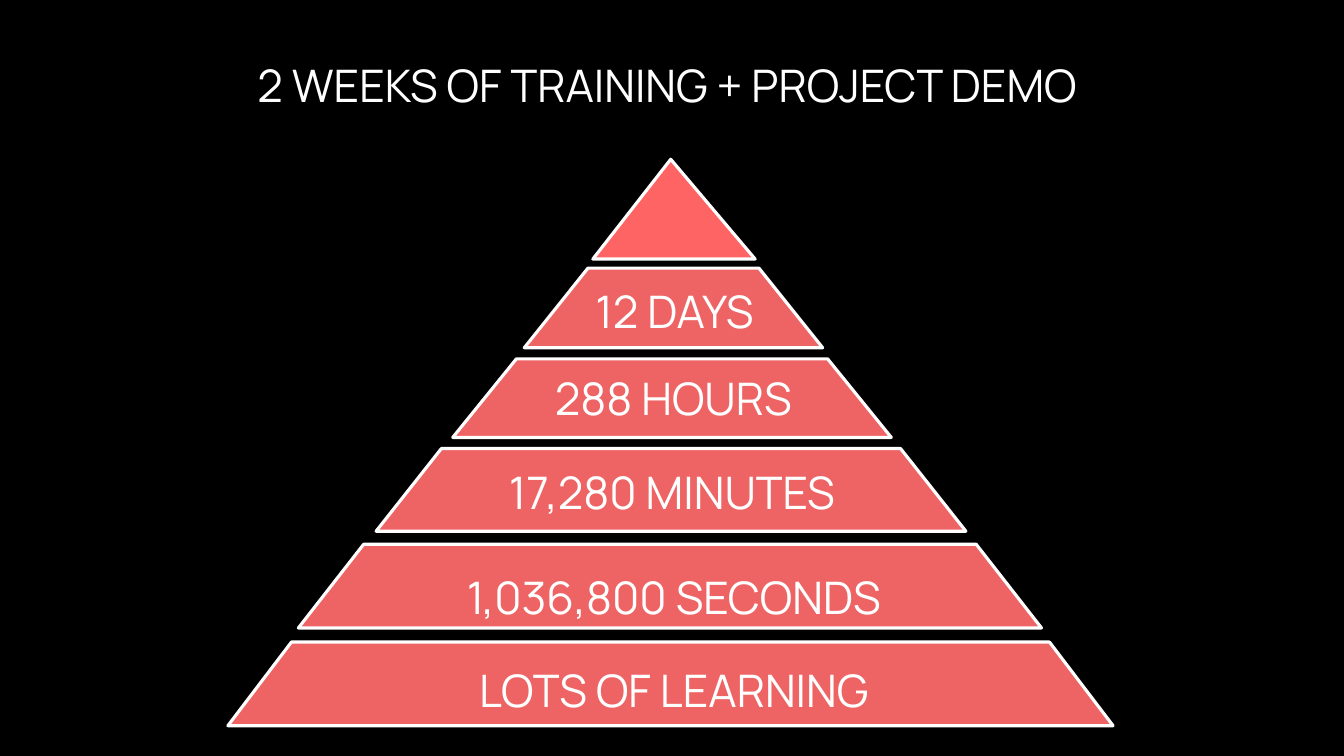
import pptx
import pptx.dml.color
import pptx.enum.shapes
import pptx.enum.text
import pptx.util

Inches = pptx.util.Inches
Shapes = pptx.enum.shapes.MSO_SHAPE
Anchor = pptx.enum.text.MSO_ANCHOR

BLACK = pptx.dml.color.RGBColor(0x00, 0x00, 0x00)
WHITE = pptx.dml.color.RGBColor(0xFF, 0xFF, 0xFF)
CORAL = pptx.dml.color.RGBColor(0xEE, 0x64, 0x64)
BRIGHT_CORAL = pptx.dml.color.RGBColor(0xFF, 0x64, 0x64)

TIERS = [
    ((5.2, 2.66, 2.96, 0.79), 0.8),
    ((4.49, 3.56, 4.35, 0.78), 0.81),
    ((3.73, 4.45, 5.85, 0.82), 0.79),
    ((2.96, 5.4, 7.37, 0.83), 0.78),
    ((2.26, 6.37, 8.78, 0.83), 0.76),
]
SHORT_LABELS = [
    ("12 DAYS", (5.48, 2.77, 2.42, 0.64)),
    ("288 HOURS", (5.2, 3.63, 2.96, 0.64)),
    ("17,280 MINUTES", (4.49, 4.56, 4.35, 0.64)),
]
WIDE_LABELS = [
    ("1,036,800 SECONDS", (1.79, 5.2, 9.79, 1.38)),
    ("LOTS OF LEARNING", (1.79, 6.12, 9.79, 1.38)),
]


class PyramidSlide:
    """Draw outlined tiers and centred labels on one slide."""

    font_name = "Manrope"
    font_size = pptx.util.Pt(32)
    outline = pptx.util.Pt(2.25)

    def __init__(self, page):
        self.page = page
        page.background.fill.solid()
        page.background.fill.fore_color.rgb = BLACK

    def tier(self, kind, frame, slope, colour):
        shape = self.page.shapes.add_shape(kind, *map(Inches, frame))
        shape.adjustments[0] = slope
        shape.shadow.inherit = False
        shape.fill.solid()
        shape.fill.fore_color.rgb = colour
        shape.line.color.rgb = WHITE
        shape.line.width = self.outline

    def label(self, text, frame, anchor=Anchor.TOP, insets=(0.1, 0.05, 0.1, 0.05), spacing=1.0):
        box = self.page.shapes.add_textbox(*map(Inches, frame)).text_frame
        box.word_wrap = True
        box.vertical_anchor = anchor
        box.margin_left, box.margin_top, box.margin_right, box.margin_bottom = map(Inches, insets)
        para = box.paragraphs[0]
        para.text = text
        para.alignment = pptx.enum.text.PP_ALIGN.CENTER
        para.line_spacing = spacing
        para.font.name = self.font_name
        para.font.size = self.font_size
        para.font.color.rgb = WHITE


def main():
    deck = pptx.Presentation()
    deck.slide_width, deck.slide_height = Inches(13.33), Inches(7.5)
    pyramid = PyramidSlide(deck.slides.add_slide(deck.slide_layouts[6]))

    pyramid.label("2 WEEKS OF TRAINING + PROJECT DEMO ", (0, 0.24, 13.33, 1.68),
                  Anchor.MIDDLE, (0, 0, 0, 0.54), 1.1)
    pyramid.tier(Shapes.ISOSCELES_TRIANGLE, (5.88, 1.58, 1.61, 0.99), 0.48, BRIGHT_CORAL)
    for frame, slope in TIERS:
        pyramid.tier(Shapes.TRAPEZOID, frame, slope, CORAL)
    for text, frame in SHORT_LABELS:
        pyramid.label(text, frame)
    for text, frame in WIDE_LABELS:
        pyramid.label(text, frame, Anchor.MIDDLE, (0, 0, 0, 0), 1.1)

    deck.save("out.pptx")


if __name__ == "__main__":
    main()
